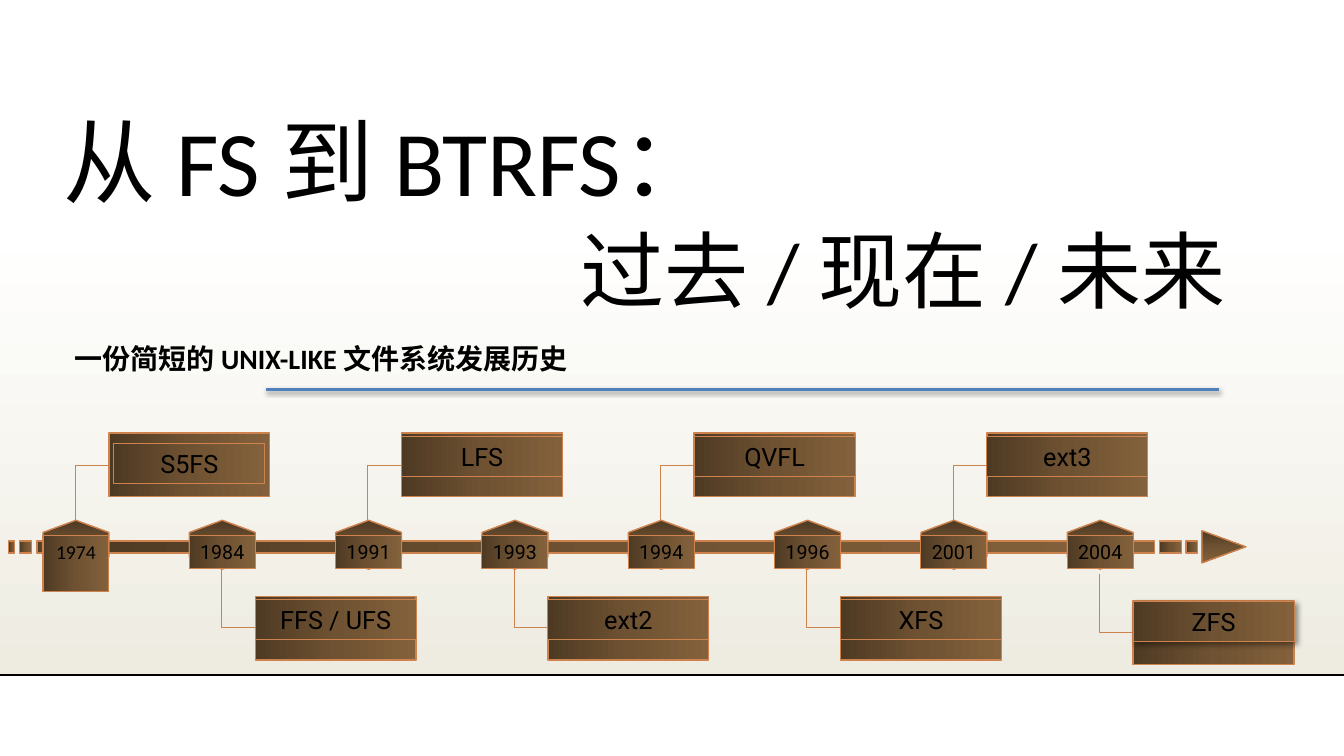
import copy
import pptx
import pptx.util
import pptx.dml.color
import pptx.enum.shapes
import pptx.enum.text
import pptx.oxml
import pptx.oxml.ns

COLORS = {"white": "FFFFFF", "ivory": "EEECE1", "ink": "000000", "baseline": "000001",
          "accent": "4F81BD", "copper": "CE824E",
          "dark": "4E3A23", "brown": "6F5232", "tan": "83613C"}
WIDTH, HEIGHT = 13.33, 7.5
SHAPE = pptx.enum.shapes.MSO_SHAPE
CONNECTOR = pptx.enum.shapes.MSO_CONNECTOR
ALIGN = pptx.enum.text.PP_ALIGN
ANCHOR = pptx.enum.text.MSO_ANCHOR
BRONZE = [(0, "dark"), (0.5, "brown"), (1, "tan")]
EVENTS = [("1974", "S5FS"), ("1984", "FFS / UFS"), ("1991", "LFS"), ("1993", "ext2"),
          ("1994", "QVFL"), ("1996", "XFS"), ("2001", "ext3"), ("2004", "ZFS")]


def rgb(name):
    """Look up a palette colour."""
    return pptx.dml.color.RGBColor.from_string(COLORS[name])


def within(box, x, y, w=0, h=0):
    """Turn shares of a box into a box in inches."""
    left, top, width, height = box
    return left + x * width, top + y * height, w * width, h * height


def inches(values):
    """Convert numbers to lengths."""
    return [pptx.util.Inches(v) for v in values]


def gradient(part, stops, angle):
    """Fill a shape with a linear gradient."""
    part.fill.gradient()
    part.fill.gradient_angle = angle
    stop_list = part.fill._fill._gradFill.gsLst
    while len(stop_list) < len(stops):
        stop_list.append(copy.deepcopy(stop_list[0]))
    for stop, (position, color) in zip(part.fill.gradient_stops, stops):
        stop.position = position
        stop.color.rgb = rgb(color)


def cast_shadow(part, alpha, blur, distance, angle):
    """Give a shape or line a soft black shadow; lengths in points."""
    properties = part._element.spPr
    for effects in properties.findall(pptx.oxml.ns.qn("a:effectLst")):
        properties.remove(effects)
    properties.append(pptx.oxml.parse_xml(
        f'<a:effectLst {pptx.oxml.ns.nsdecls("a")}><a:outerShdw blurRad="{int(blur * 12700)}" '
        f'dist="{int(distance * 12700)}" dir="{angle * 60000}" rotWithShape="0">'
        f'<a:srgbClr val="{COLORS["ink"]}"><a:alpha val="{alpha * 1000}"/></a:srgbClr>'
        '</a:outerShdw></a:effectLst>'))


def write(frame, words, size, font="Calibri", bold=False, align=ALIGN.LEFT,
          anchor=ANCHOR.TOP, insets=(0.1, 0.05, 0.1, 0.05)):
    """Put one run of text into a frame."""
    frame.word_wrap = True
    frame.vertical_anchor = anchor
    (frame.margin_left, frame.margin_top,
     frame.margin_right, frame.margin_bottom) = inches(insets)
    paragraph = frame.paragraphs[0]
    paragraph.alignment = align
    run = paragraph.add_run()
    run.text = words
    run.font.size, run.font.name, run.font.bold = pptx.util.Pt(size), font, bold
    run.font.color.rgb = rgb("ink")


def bronze(slide, box, kind=SHAPE.RECTANGLE, weight=1, turned=False):
    """Add a bronze shape that covers the box, optionally turned a quarter."""
    x, y, w, h = box
    if turned:
        x, y, w, h = x + (w - h) / 2, y + (h - w) / 2, h, w
    part = slide.shapes.add_shape(kind, *inches((x, y, w, h)))
    part.rotation = 90 if turned else 0
    part.shadow.inherit = False
    gradient(part, BRONZE, 0)
    part.line.color.rgb = rgb("copper")
    part.line.width = pptx.util.Pt(weight)
    return part


def connect(slide, start, end, color, weight, kind=CONNECTOR.STRAIGHT):
    """Join two points, given in inches, without a shadow."""
    line = slide.shapes.add_connector(kind, *inches((*start, *end)))
    line.line.color.rgb = rgb(color)
    line.line.width = pptx.util.Pt(weight)
    line._element.spPr.append(pptx.oxml.parse_xml(
        f'<a:effectLst {pptx.oxml.ns.nsdecls("a")}/>'))
    return line


def backdrop(slide, box):
    """Draw the fading ground, its lower edge and the accent rule."""
    ground = slide.shapes.add_shape(SHAPE.RECTANGLE, *inches(within(box, 0, 0.295, 1, 0.598)))
    ground.shadow.inherit = False
    ground.line.fill.background()
    gradient(ground, [(0, "white"), (1, "ivory")], 270)
    connect(slide, within(box, 0, 0.893)[:2], within(box, 1, 0.893)[:2], "baseline", 1)
    rule = connect(slide, within(box, 0.198, 0.515)[:2], within(box, 0.907, 0.515)[:2],
                   "accent", 2.5)
    cast_shadow(rule, 35, 3.1, 1.8, 90)


def headings(slide, box):
    """Write the two title lines and the subtitle."""
    rows = [((0.04, 0.104, 0.75, 0.18), "从 FS 到 BTRFS：", 66,
             {"anchor": ANCHOR.BOTTOM, "insets": (0.1, 0.05, 0.1, 0)}),
            ((0.048, 0.439, 0.43, 0.097), "一份简短的 UNIX-LIKE 文件系统发展历史", 20,
             {"bold": True, "insets": (0.1,) * 4}),
            ((0.137, 0.24, 0.782, 0.189), "过去 / 现在 / 未来", 60,
             {"anchor": ANCHOR.BOTTOM, "align": ALIGN.RIGHT})]
    for place, words, size, style in rows:
        heading = slide.shapes.add_textbox(*inches(within(box, *place)))
        write(heading.text_frame, words, size, **style)


def rail(slide, column):
    """Draw the broken time axis and its arrowhead, measured in columns."""
    for start, length in [(-0.235, 0.04), (-0.16, 0.08), (-0.04, 0.15),
                          (0.145, 7.45), (7.81, 0.08), (7.63, 0.15)]:
        bronze(slide, within(column, start, 0.475, length, 0.053))
    bronze(slide, within(column, 7.92, 0.43, 0.3, 0.142), SHAPE.ISOSCELES_TRIANGLE, turned=True)


def event(slide, column, year, system, above, first, last):
    """Draw one year marker with its elbow and its label above or below."""
    drop = 0.02 if last else 0
    label_top = 0 if above else 0.72 + drop
    elbow_y, stem_y = (0.142, 0.382) if above else (0.858 + drop, 0.6 + drop)
    elbow = connect(slide, within(column, 0.45, elbow_y)[:2], within(column, 0.22, stem_y)[:2],
                    "copper", 0.5, CONNECTOR.ELBOW)
    elbow._element.spPr.find(pptx.oxml.ns.qn("a:prstGeom")).set("prst", "bentConnector2")

    bronze(slide, within(column, 0, 0.384, 0.45, 0.216), SHAPE.HEXAGON, turned=True)
    marker = bronze(slide, within(column, 0, 0.45, 0.45, 0.249 if first else 0.149), weight=0.75)
    write(marker.text_frame, year, 14, "Calibri" if first else "Roboto", align=ALIGN.CENTER)

    bronze(slide, within(column, 0.45, label_top, 1.1, 0.28))
    inset = 0.035 if first else 0
    caption_top = label_top + (0.044 if first else 0 if last else 0.013)
    caption = bronze(slide, within(column, 0.45 + inset, caption_top, 1.1 - 2 * inset, 0.178),
                     weight=0.75)
    write(caption.text_frame, system, 18, "Roboto", align=ALIGN.CENTER)
    if last:
        cast_shadow(caption, 40, 4, 3, 45)


def timeline(slide, box):
    """Lay the events out in equal columns along the rail."""
    left, top, width, height = box
    pitch = width / len(EVENTS)
    rail(slide, (left, top, pitch, height))
    for i, (year, system) in enumerate(EVENTS):
        event(slide, (left + i * pitch, top, pitch, height), year, system,
              above=i % 2 == 0, first=i == 0, last=i == len(EVENTS) - 1)


def title_slide(deck):
    """Build the title slide with the file system timeline."""
    slide = deck.slides.add_slide(deck.slide_layouts[6])
    page = (0, 0, WIDTH, HEIGHT)
    backdrop(slide, page)
    headings(slide, page)
    timeline(slide, within(page, 0.032, 0.573, 0.871, 0.3))


deck = pptx.Presentation()
deck.slide_width, deck.slide_height = inches((WIDTH, HEIGHT))
title_slide(deck)
deck.save("out.pptx")
